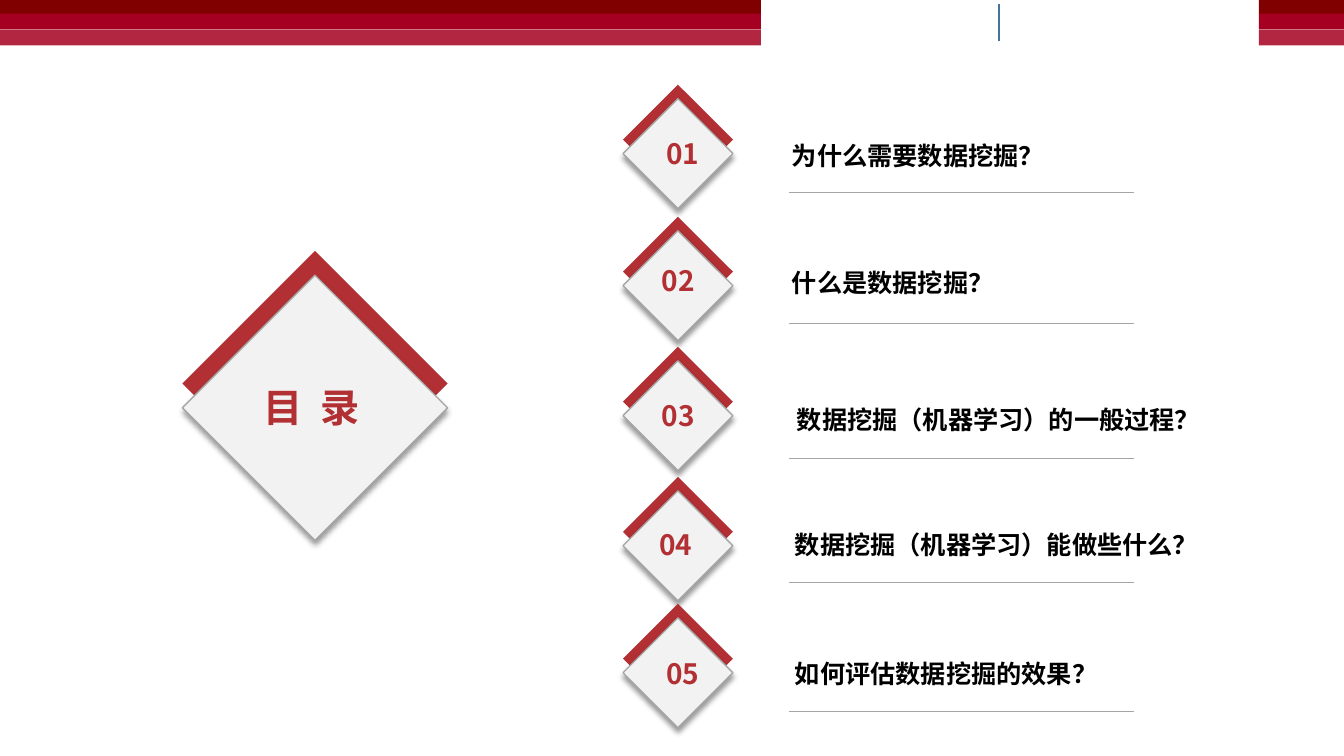
import pptx
import pptx.dml.color
import pptx.enum.shapes
import pptx.enum.text
import pptx.oxml
import pptx.oxml.ns
import pptx.util

Pt = pptx.util.Pt
SHAPES = pptx.enum.shapes.MSO_SHAPE
FONT = "Noto Sans CJK SC"
RED, PALE, GREY, BLACK = "B23033", "F2F2F2", "A6A6A6", "000000"
NARROW_INSETS = (5.4, 2.7)
NORMAL_INSETS = (7.2, 3.6)

HEADER_SPANS = [(0, 543.6), (899.3, 60.7)]
HEADER_BANDS = [(0, 10, "800000"), (9.8, 11.2, "A50021"), (21.1, 11.3, "B22642")]

# number, diamond top, number position, title, title position, underline height
TOPICS = [
    ("01", 60.5, (468.7, 94.3), "为什么需要数据挖掘？", (560.2, 97.2), 137.5),
    ("02", 154.8, (465.8, 185), "什么是数据挖掘？", (560.2, 188.6), 231.1),
    ("03", 247.7, (465.8, 280.8), "数据挖掘（机器学习）的一般过程？", (563.8, 285.8), 327.6),
    ("04", 340.6, (463.7, 373), "数据挖掘（机器学习）能做些什么？", (562.3, 375.1), 416.2),
    ("05", 431.3, (468.7, 465.1), "如何评估数据挖掘的效果？", (562.3, 467.3), 508.3),
]


def color(value):
    return pptx.dml.color.RGBColor.from_string(value)


def add_effect_list(shape, content=""):
    """Give the shape exactly the effects in content, or none."""
    properties = shape._element.spPr
    for effects in properties.findall(pptx.oxml.ns.qn("a:effectLst")):
        properties.remove(effects)
    namespace = pptx.oxml.ns.nsdecls("a")
    properties.append(pptx.oxml.parse_xml(f"<a:effectLst {namespace}>{content}</a:effectLst>"))


def add_filled_shape(shapes, kind, left, top, width, height, fill):
    shape = shapes.add_shape(kind, Pt(left), Pt(top), Pt(width), Pt(height))
    shape.shadow.inherit = False
    shape.fill.solid()
    shape.fill.fore_color.rgb = color(fill)
    shape.line.fill.background()
    return shape


def add_line(shapes, start, end, line_color, width):
    line = shapes.add_connector(
        pptx.enum.shapes.MSO_CONNECTOR.STRAIGHT, *(Pt(value) for value in start + end))
    line.line.color.rgb = color(line_color)
    line.line.width = Pt(width)
    add_effect_list(line)


def add_text(shapes, text, position, width, height, size, text_color, insets, spacing=0):
    box = shapes.add_textbox(*(Pt(value) for value in (*position, width, height)))
    horizontal, vertical = (Pt(inset) for inset in insets)
    frame_format = {
        "word_wrap": True,
        "auto_size": pptx.enum.text.MSO_AUTO_SIZE.SHAPE_TO_FIT_TEXT,
        "margin_left": horizontal, "margin_right": horizontal,
        "margin_top": vertical, "margin_bottom": vertical,
    }
    for name, value in frame_format.items():
        setattr(box.text_frame, name, value)
    run = box.text_frame.paragraphs[0].add_run()
    run.text = text
    for name, value in {"name": FONT, "size": Pt(size), "bold": True}.items():
        setattr(run.font, name, value)
    run.font.color.rgb = color(text_color)
    properties = run._r.get_or_add_rPr()
    namespace = pptx.oxml.ns.nsdecls("a")
    properties.append(pptx.oxml.parse_xml(f'<a:ea {namespace} typeface="{FONT}"/>'))
    if spacing:
        properties.set("spc", str(round(spacing * 100)))


def add_diamond_pair(shapes, left, top, size, offset):
    """Draw a red diamond with a pale, shadowed one slightly lower on it."""
    kind = SHAPES.FLOWCHART_DECISION
    add_filled_shape(shapes, kind, left, top, size, size, RED)
    front = add_filled_shape(shapes, kind, left, top + offset, size, size, PALE)
    front.line.color.rgb = color(GREY)
    front.line.width = Pt(1)
    add_effect_list(
        front,
        f'<a:outerShdw blurRad="{Pt(4)}" dist="{Pt(3)}" dir="5400000" algn="t" rotWithShape="0">'
        '<a:srgbClr val="000000"><a:alpha val="40000"/></a:srgbClr></a:outerShdw>')


def add_header(shapes):
    for left, width in HEADER_SPANS:
        for top, height, fill in HEADER_BANDS:
            add_filled_shape(shapes, SHAPES.RECTANGLE, left, top, width, height, fill)
    add_line(shapes, (713.5, 2.9), (713.5, 29.5), "43739E", 1)


def add_topic(shapes, number, diamond_top, number_position, title, title_position, underline):
    badge = shapes.add_group_shape().shapes
    add_diamond_pair(badge, 445, diamond_top, 78.5, 10)
    add_text(badge, number, number_position, 41, 33, 20, RED, NORMAL_INSETS)
    add_text(shapes, title, title_position, 315, 26.6, 18, BLACK, NARROW_INSETS)
    add_line(shapes, (563.8, underline), (810, underline), GREY, 0.5)


def main():
    presentation = pptx.Presentation()
    presentation.slide_width = Pt(960)
    presentation.slide_height = Pt(540)
    shapes = presentation.slides.add_slide(presentation.slide_layouts[6]).shapes
    add_header(shapes)
    add_diamond_pair(shapes, 130.3, 179.3, 189.4, 17.3)
    add_text(shapes, "目 录", (182.9, 271.4), 113.8, 41, 28, RED, NARROW_INSETS, spacing=3.1)
    for topic in TOPICS:
        add_topic(shapes, *topic)
    presentation.save("out.pptx")


if __name__ == "__main__":
    main()
